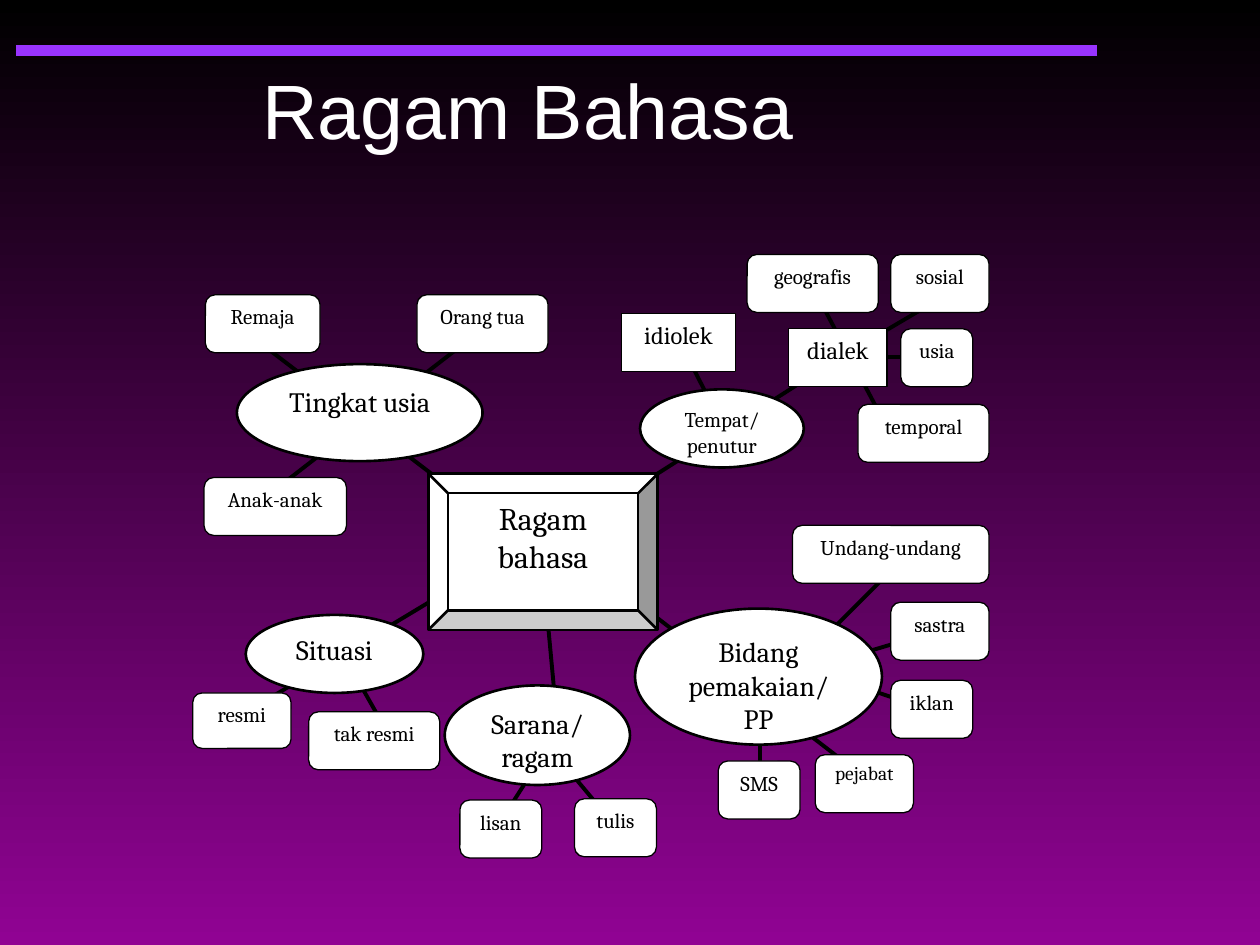
from lxml import etree
from pptx import Presentation
from pptx import util as u
from pptx.dml.color import RGBColor
from pptx.enum import shapes, text
from pptx.oxml.ns import qn

BLACK = RGBColor(0x00, 0x00, 0x00)
WHITE = RGBColor(0xFF, 0xFF, 0xFF)
MAGENTA = RGBColor(0x90, 0x03, 0x93)
VIOLET = RGBColor(0x99, 0x33, 0xFF)
KIND = shapes.MSO_SHAPE
LEAF_HEIGHT = 0.46

# Branches from the centre and from each hub: start x, y, end x, y
BRANCHES = [
    (2.79, 5.31, 3.05, 5.77), (3.82, 4.53, 2.01, 5.62),  # Situasi
    (4.36, 5.93, 4.87, 6.54), (4.35, 5.93, 3.96, 6.54),  # Sarana
    (4.31, 4.53, 4.44, 5.93),
    (6.03, 5.46, 6.03, 6.23), (6.42, 5.31, 7.33, 5.62),  # Bidang pemakaian
    (6.42, 5.31, 7.46, 5.00), (6.29, 5.31, 7.07, 4.53),
    (4.73, 4.53, 6.94, 6.23),
    (6.81, 2.83, 7.33, 2.83), (6.68, 2.83, 7.46, 2.37),  # dialek
    (6.42, 2.22, 7.07, 3.45),
    (5.38, 2.68, 5.77, 3.45), (4.73, 4.07, 6.68, 2.83),  # Tempat
    (3.95, 2.52, 2.14, 3.92), (2.01, 2.68, 3.83, 4.07),  # Tingkat usia
]

# Hubs: label, left, top, width, height, text size
HUBS = [
    ("Tempat/penutur", 5.08, 3.09, 1.30, 0.62, 12),
    ("Bidang pemakaian/PP", 5.04, 4.83, 1.96, 1.08, 16),
    ("Sarana/ragam", 3.53, 5.44, 1.47, 0.79, 16),
    ("Situasi", 1.95, 4.88, 1.41, 0.62, 16),
    ("Tingkat usia", 1.88, 2.89, 1.95, 0.77, 16),
]

# Speaker varieties: label, left, top, width
VARIETIES = [("idiolek", 4.93, 2.49, 0.91), ("dialek", 6.26, 2.61, 0.78)]

# Leaves: label, left, top, width
LEAVES = [
    ("geografis", 5.93, 2.02, 1.04), ("sosial", 7.07, 2.02, 0.78),
    ("temporal", 6.81, 3.21, 1.04), ("usia", 7.15, 2.61, 0.57),
    ("Undang-undang", 6.29, 4.17, 1.56), ("iklan", 7.07, 5.40, 0.65),
    ("sastra", 7.07, 4.78, 0.78), ("SMS", 5.70, 6.04, 0.65),
    ("tulis", 4.56, 6.34, 0.65), ("lisan", 3.65, 6.35, 0.65),
    ("tak resmi", 2.45, 5.65, 1.04), ("Orang tua", 3.31, 2.34, 1.04),
    ("Remaja", 1.63, 2.34, 0.91), ("Anak-anak", 1.62, 3.79, 1.13),
]


def style_text(para, font, size, color):
    para.alignment = text.PP_ALIGN.CENTER
    for span in para.runs:
        span.font.name = font
        span.font.size = u.Pt(size)
        span.font.color.rgb = color


def paint_background(page):
    fill = page.background.fill
    fill.gradient()
    fill.gradient_angle = 270  # black at the top
    for stop, color, position in zip(fill.gradient_stops, (BLACK, MAGENTA), (0, 1)):
        stop.color.rgb = color
        stop.position = position


def add_title(page, label):
    title = page.shapes.title
    title.left, title.top = u.Inches(0.4), u.Inches(0.41)
    title.width, title.height = u.Inches(7.75), u.Inches(0.9)
    frame = title.text_frame
    frame.text = label
    frame.auto_size = text.MSO_AUTO_SIZE.NONE
    frame.vertical_anchor = text.MSO_ANCHOR.MIDDLE
    style_text(frame.paragraphs[0], "Arial", 44, WHITE)


def add_line(page, ends, color, width):
    line = page.shapes.add_connector(
        shapes.MSO_CONNECTOR.STRAIGHT, *(u.Inches(value) for value in ends))
    line.line.color.rgb = color
    line.line.width = u.Pt(width)
    etree.SubElement(line._element.spPr, qn("a:effectLst"))


def add_node(page, kind, label, left, top, width, height, size, outline):
    box = page.shapes.add_shape(
        kind, *(u.Inches(value) for value in (left, top, width, height)))
    box.shadow.inherit = False
    box.fill.solid()
    box.fill.fore_color.rgb = WHITE
    box.line.color.rgb = BLACK
    box.line.width = u.Pt(outline)
    frame = box.text_frame
    frame.text = label
    frame.word_wrap = True
    frame.vertical_anchor = text.MSO_ANCHOR.TOP
    style_text(frame.paragraphs[0], "Cambria", size, BLACK)
    return box


def add_leaf(page, label, left, top, width, height=LEAF_HEIGHT, size=12):
    return add_node(page, KIND.ROUNDED_RECTANGLE, label, left, top, width,
                    height, size, 0.75)


def main():
    deck = Presentation()
    deck.slide_width, deck.slide_height = u.Inches(10), u.Inches(7.5)
    page = deck.slides.add_slide(deck.slide_layouts[5])

    # Background, rule and title
    paint_background(page)
    add_line(page, (8.71, 0.4, 0.13, 0.4), VIOLET, 6)
    add_title(page, "Ragam Bahasa ")

    # Branches lie behind the nodes
    for ends in BRANCHES:
        add_line(page, ends, BLACK, 2.25)

    # Centre and hubs
    add_node(page, KIND.BEVEL, "Ragam bahasa", 3.4, 3.76, 1.82, 1.24, 18, 1.5)
    for hub in HUBS:
        add_node(page, KIND.OVAL, *hub, 1.5)

    # Varieties and leaves
    for variety in VARIETIES:
        add_node(page, KIND.RECTANGLE, *variety, LEAF_HEIGHT, 14, 0.75)
    for leaf in LEAVES:
        add_leaf(page, *leaf)
    add_leaf(page, "resmi", 1.53, 5.5, 0.78, height=0.44)
    official = add_leaf(page, "pejabat", 6.47, 5.99, 0.78, size=11.1)
    official.text_frame.paragraphs[0].line_spacing = 0.9

    deck.save("out.pptx")


if __name__ == "__main__":
    main()
